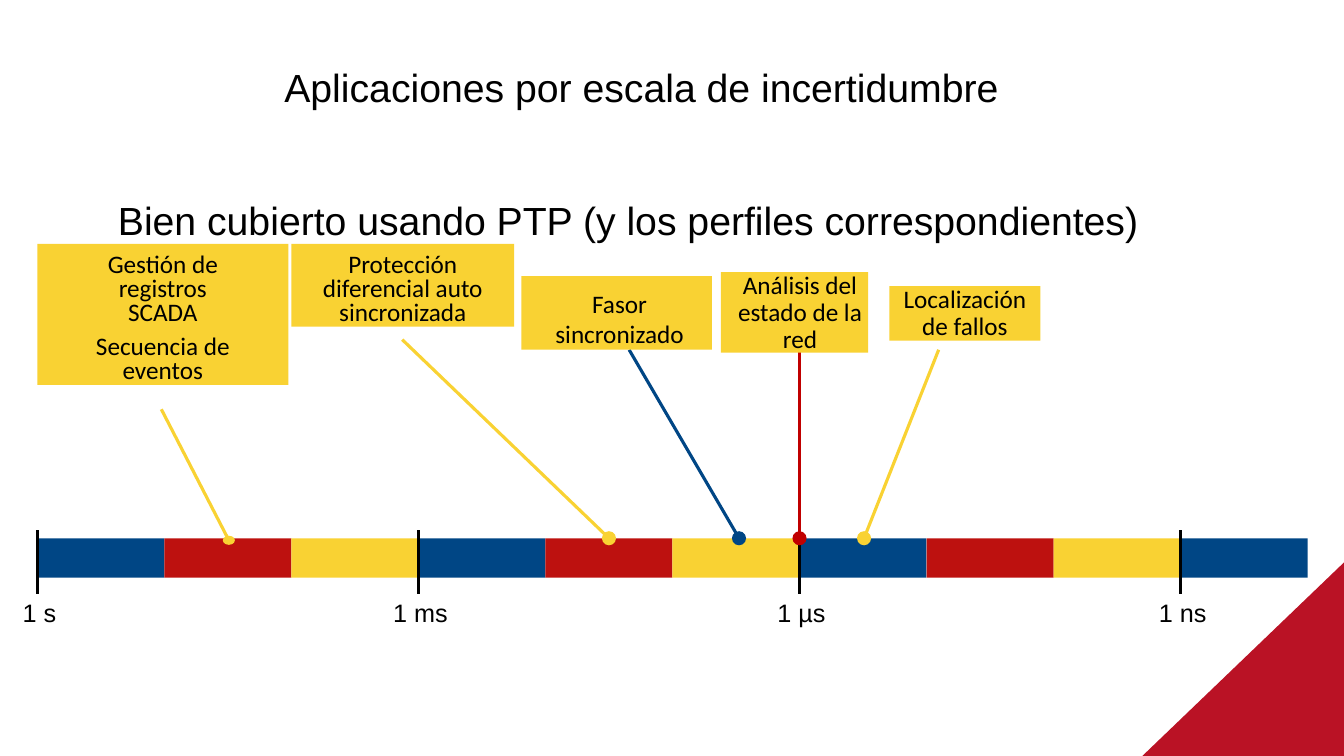
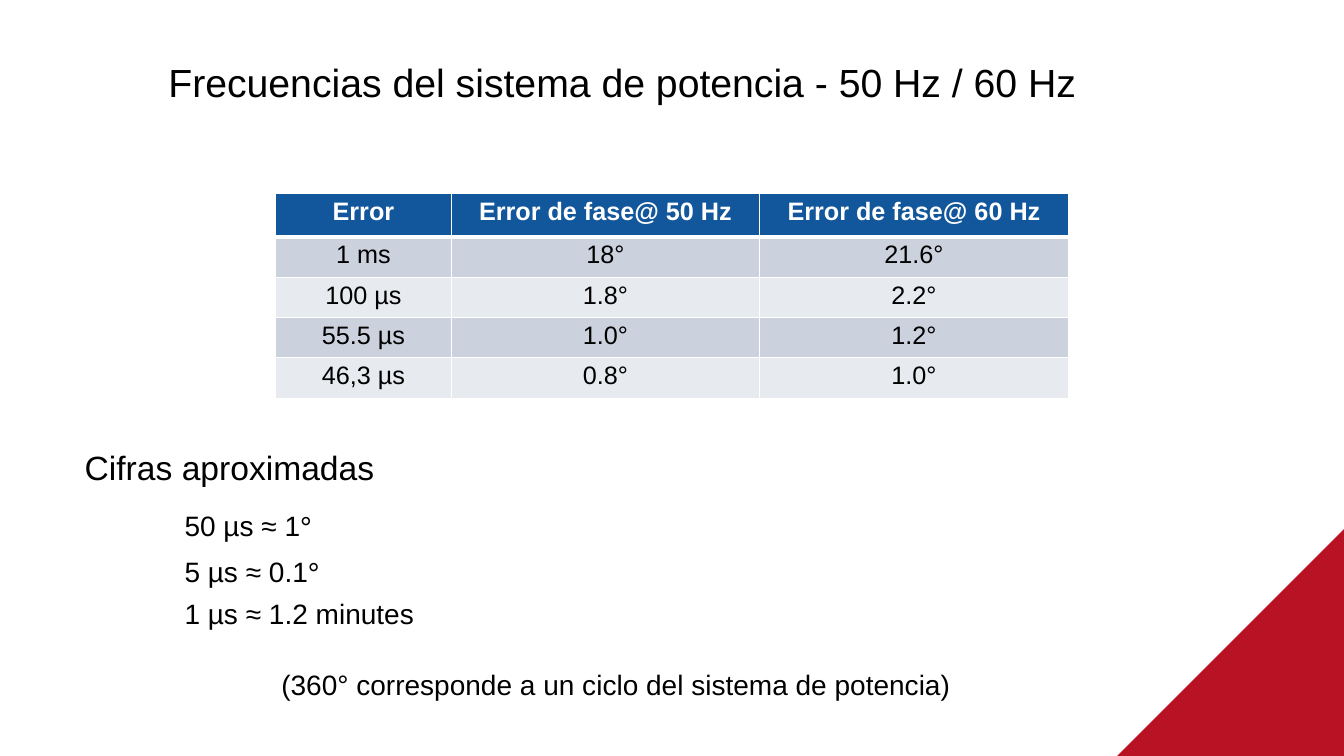
"""Build two slides on time uncertainty in power systems."""
from itertools import cycle

from lxml import etree
from pptx import Presentation
from pptx.dml.color import RGBColor
from pptx.enum.shapes import MSO_CONNECTOR, MSO_SHAPE
from pptx.enum.text import MSO_ANCHOR, MSO_AUTO_SIZE, PP_ALIGN
from pptx.oxml.ns import qn
from pptx.util import Inches, Pt

LEFT, CENTER = PP_ALIGN.LEFT, PP_ALIGN.CENTER
TOP, MIDDLE = MSO_ANCHOR.TOP, MSO_ANCHOR.MIDDLE
NO_FIT = MSO_AUTO_SIZE.NONE
RECT, OVAL = MSO_SHAPE.RECTANGLE, MSO_SHAPE.OVAL
STRAIGHT = MSO_CONNECTOR.STRAIGHT
TITLE_ONLY, TITLE_AND_BODY = 5, 1
WIDTH, HEIGHT = 13.33, 7.5

COLORS = {
    "black": "000000", "white": "FFFFFF", "blue": "004685", "red": "BD110F",
    "yellow": "F9D233", "marker": "C00000", "corner": "BA1225",
    "header": "12569B", "band_dark": "CCD1DE", "band_light": "E7EAEE",
}


def rgb(name):
    return RGBColor.from_string(COLORS[name])


class Deck:
    """Hold the shared style and draw elements on the current slide."""

    font = "Arial"
    label_font = "Calibri"
    symbol_font = "TeX Gyre Schola"

    def __init__(self):
        self.prs = Presentation()
        self.prs.slide_width = Inches(WIDTH)
        self.prs.slide_height = Inches(HEIGHT)
        self.s = None

    def slide(self, layout, title, box, corner):
        self.s = self.prs.slides.add_slide(self.prs.slide_layouts[layout])
        tf = self.place(self.s.shapes.title, box)
        self.frame(tf, (0, 0.01, 0, 0), MIDDLE)
        self.add_runs(tf.paragraphs[0], [title], 28)
        self.corner(*corner)

    def place(self, sp, box):
        sp.left, sp.top, sp.width, sp.height = map(Inches, box)
        return sp.text_frame

    def frame(self, tf, insets, anchor=TOP):
        tf.word_wrap = True
        tf.auto_size = NO_FIT
        tf.vertical_anchor = anchor
        tf.margin_left, tf.margin_top, tf.margin_right, tf.margin_bottom = map(Inches, insets)

    def add_runs(self, p, runs, size, font=None, color="black", bold=False, align=LEFT):
        p.alignment = align
        for text in runs:
            r = p.add_run()
            r.text = text
            r.font.name = self.symbol_font if text == "°" else font or self.font
            r.font.size = Pt(size)
            r.font.bold = bold
            r.font.color.rgb = rgb(color)

    def text(self, box, text, size, align=LEFT):
        tf = self.s.shapes.add_textbox(*map(Inches, box)).text_frame
        self.frame(tf, (0, 0.01, 0, 0))
        self.add_runs(tf.paragraphs[0], [text], size, align=align)

    def paint(self, sp, color):
        sp.shadow.inherit = False
        sp.fill.solid()
        sp.fill.fore_color.rgb = rgb(color)
        sp.line.fill.background()
        return sp

    def shape(self, kind, box, color):
        return self.paint(self.s.shapes.add_shape(kind, *map(Inches, box)), color)

    def corner(self, width, height):
        fb = self.s.shapes.build_freeform(Inches(WIDTH), Inches(HEIGHT - height))
        fb.add_line_segments([(Inches(WIDTH - width), Inches(HEIGHT)),
                              (Inches(WIDTH), Inches(HEIGHT))])
        self.paint(fb.convert_to_shape(), "corner")

    def line(self, start, end, color, width):
        c = self.s.shapes.add_connector(STRAIGHT, *map(Inches, (*start, *end)))
        c.line.color.rgb = rgb(color)
        c.line.width = Pt(width)
        etree.SubElement(c._element.spPr, qn("a:effectLst"))

    def label(self, box, insets, paragraphs, spacing):
        tf = self.shape(RECT, box, "yellow").text_frame
        self.frame(tf, insets)
        for i, text in enumerate(paragraphs):
            p = tf.add_paragraph() if i else tf.paragraphs[0]
            p.space_before = Pt(7 if i else 0)
            if spacing:
                p.line_spacing = Pt(spacing)
            self.add_runs(p, [text], 18, self.label_font, align=CENTER)

    def leader(self, start, end, color, dot):
        self.line(start, end, color, 2.25)
        w, h = dot
        self.shape(OVAL, (end[0] - w / 2, end[1] - h / 2, w, h), color)

    def body(self, box, items):
        tf = self.place(self.s.placeholders[1], box)
        self.frame(tf, (0, 0.1, 0, 0))
        for i, (runs, size, indent, before) in enumerate(items):
            p = tf.add_paragraph() if i else tf.paragraphs[0]
            p.space_before = Pt(before)
            self.add_runs(p, runs, size)
            pPr = p._p.get_or_add_pPr()
            pPr.set("marL", str(Inches(indent)))
            pPr.set("indent", "0")
            etree.SubElement(pPr, qn("a:buNone"))

    def borders(self, cell, widths):
        tcPr = cell._tc.get_or_add_tcPr()
        for i, (side, width) in enumerate(zip("LRTB", widths)):
            ln = etree.Element(qn(f"a:ln{side}"), w=str(Pt(width)))
            fill = etree.SubElement(ln, qn("a:solidFill"))
            etree.SubElement(fill, qn("a:srgbClr"), val=COLORS["white"])
            tcPr.insert(i, ln)

    def table(self, box, widths, heights, rows):
        table = self.s.shapes.add_table(len(rows), len(widths), *map(Inches, box)).table
        for col, width in zip(table.columns, widths):
            col.width = Inches(width)
        for i, (row, height, values) in enumerate(zip(table.rows, heights, rows)):
            row.height = Inches(height)
            header = i == 0
            fill = "header" if header else "band_dark" if i % 2 else "band_light"
            for cell, text in zip(row.cells, values):
                cell.margin_left = cell.margin_right = cell.margin_bottom = 0
                cell.margin_top = Inches(0.04)
                cell.fill.solid()
                cell.fill.fore_color.rgb = rgb(fill)
                self.borders(cell, (1, 1, 3 if i == 1 else 1, 3 if header else 1))
                self.add_runs(cell.text_frame.paragraphs[0], [text], 18, bold=header,
                              color="white" if header else "black", align=CENTER)


def uncertainty_scale(deck):
    deck.slide(TITLE_ONLY, "Aplicaciones por escala de incertidumbre",
               (2.82, 0.61, 7.99, 0.49), (2, 1.92))
    deck.text((1.17, 1.94, 11.5, 0.48),
              "Bien cubierto usando PTP (y los perfiles correspondientes)", 28)

    left, step, top = 0.37, 1.26, 5.34
    for i, color in zip(range(10), cycle(("blue", "red", "yellow"))):
        deck.shape(RECT, (left + i * step, top, step, 0.39), color)
    for i, unit in enumerate(("1 s", "1 ms", "1 µs", "1 ns")):
        x = left + 3 * i * step
        deck.line((x, 5.26), (x, 5.89), "black", 2)
        deck.text((x - 0.38, 5.92, 0.8, 0.33), unit, 18, CENTER)

    dot = (0.14, 0.14)
    for leader in (
        ((1.6, 4.06), (2.27, 5.36), "yellow", (0.12, 0.09)),
        ((3.99, 3.37), (6.04, top), "yellow", dot),
        ((6.24, 3.47), (7.33, top), "blue", dot),
        ((7.93, 3.35), (7.93, top), "marker", dot),
        ((9.31, 3.47), (8.57, top), "yellow", dot),
    ):
        deck.leader(*leader)

    for label in (
        ((0.37, 2.42, 2.49, 1.4), (0.53, 0.1, 0.53, 0),
         ["Gestión de registros SCADA", "Secuencia de eventos"], 17.3),
        ((2.89, 2.42, 2.21, 0.82), (0.18, 0.1, 0.18, 0),
         ["Protección diferencial auto sincronizada"], 17.3),
        ((5.17, 2.74, 1.89, 0.73), (0.26, 0.12, 0.2, 0), ["Fasor sincronizado"], None),
        ((7.15, 2.7, 1.46, 0.8), (0.11, 0, 0, 0), ["Análisis del estado de la red"], 19.4),
        ((8.82, 2.84, 1.5, 0.54), (0.1, 0, 0.1, 0), ["Localización de fallos"], 19.4),
    ):
        deck.label(*label)


def power_frequencies(deck):
    deck.slide(TITLE_AND_BODY, "Frecuencias del sistema de potencia - 50 Hz / 60 Hz",
               (1.67, 0.57, 9.33, 0.48), (2.25, 2.25))
    deck.table((2.73, 1.92, 7.87, 2.03), (1.75, 3.05, 3.07), (0.43, 0.4, 0.4, 0.4, 0.4), (
        ("Error", "Error de fase@ 50 Hz", "Error de fase@ 60 Hz"),
        ("1 ms", "18°", "21.6°"),
        ("100 µs", "1.8°", "2.2°"),
        ("55.5 µs", "1.0°", "1.2°"),
        ("46,3 µs", "0.8°", "1.0°"),
    ))
    deck.body((0.83, 4.33, 10, 2.6), (
        (["Cifras aproximadas"], 24, 0.01, 0),
        (["50 µs ≈ 1", "°"], 20, 1, 15.5),
        (["5 µs ≈ 0.1", "°"], 20, 1, 8.5),
        (["1 µs ≈ 1.2 minutes"], 20, 1, 6.5),
        (["(360° corresponde a un ciclo del sistema de potencia)"], 20, 1.96, 26.5),
    ))


def main():
    deck = Deck()
    uncertainty_scale(deck)
    power_frequencies(deck)
    deck.prs.save("out.pptx")


if __name__ == "__main__":
    main()
